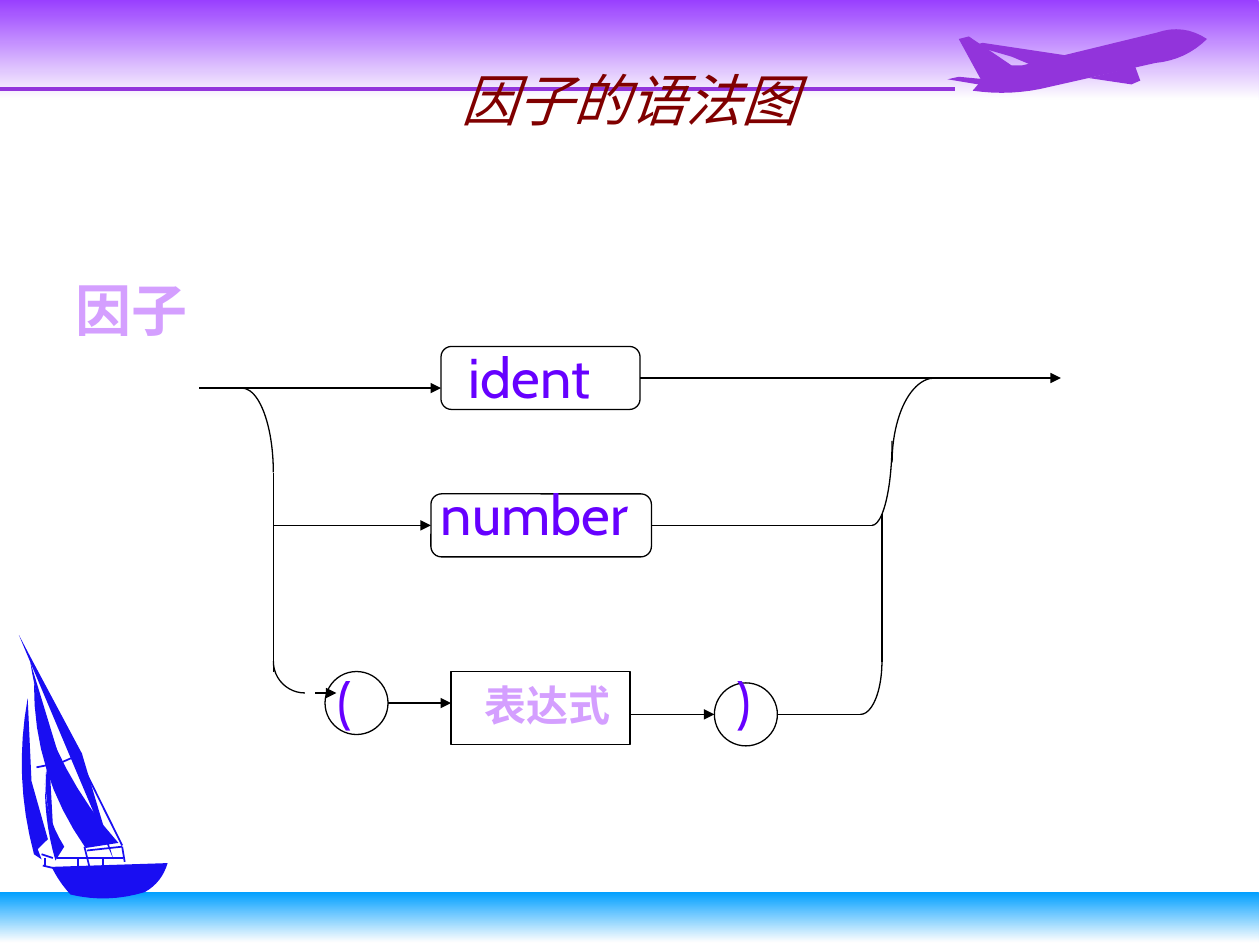
"""Build the slide with the syntax diagram of a factor."""
from math import hypot

from lxml.etree import SubElement
from pptx import Presentation
from pptx.dml.color import RGBColor
from pptx.enum.shapes import MSO_CONNECTOR, MSO_SHAPE as Preset
from pptx.enum.text import MSO_ANCHOR as Anchor, PP_ALIGN as Align
from pptx.oxml.ns import qn
from pptx.util import Inches, Pt

BLACK = RGBColor(0x00, 0x00, 0x00)
NEAR_WHITE = RGBColor(0xFE, 0xFE, 0xFE)
SKY_PURPLE = RGBColor(0x99, 0x3F, 0xFF)
PLANE_PURPLE = RGBColor(0x92, 0x34, 0xDB)
SEA_BLUE = RGBColor(0x00, 0x9F, 0xFF)
BOAT_BLUE = RGBColor(0x19, 0x0E, 0xF2)
MAROON = RGBColor(0x80, 0x00, 0x00)
LILAC = RGBColor(0xD4, 0x9F, 0xFF)
VIOLET = RGBColor(0x66, 0x00, 0xFF)

CJK_FONT = "Noto Sans CJK SC"
LEFT_SIDE, RIGHT_SIDE = 1, 3
CURVE_STEPS = 8
QUADRANT_STARTS = {
    ("right", "below"): 0, ("left", "below"): 90,
    ("left", "above"): 180, ("right", "above"): 270,
}

ENTRY_X, EXIT_X = 1.58, 8.42
SPLIT_X, JOIN_X, MERGE_X = 2.17, 7, 7.08
ENTRY_Y, IDENT_Y, NUMBER_Y = 3.08, 3, 4.17
OPEN_Y, EXPRESSION_Y, CLOSE_Y = 5.5, 5.58, 5.67
NODE_HEIGHT = 0.5


def add_band(slide, box, top_color, bottom_color):
    """Add a horizontal band that fades downwards."""
    band = slide.shapes.add_shape(Preset.RECTANGLE, *map(Inches, box))
    band.shadow.inherit = False
    band.line.fill.background()
    band.fill.gradient()
    band.fill.gradient_angle = 270
    for stop, position, color in zip(band.fill.gradient_stops, (0, 1), (top_color, bottom_color)):
        stop.position = position
        stop.color.rgb = color


def bowed_edge(start, end, bow):
    """Return points along an edge, bowed to the right of its direction of travel."""
    (x, y), (dx, dy) = start, (end[0] - start[0], end[1] - start[1])
    length = hypot(dx, dy)
    steps = CURVE_STEPS if bow else 1
    points = []
    for step in range(1, steps + 1):
        t = step / steps
        offset = 4 * t * (1 - t) * bow / length
        points.append((Inches(x + dx * t - dy * offset), Inches(y + dy * t + dx * offset)))
    return points


def add_part(slide, color, *corners):
    """Add a filled part from (x, y, bow of the next edge); a negative bow swells outwards."""
    outline = slide.shapes.build_freeform(*map(Inches, corners[0][:2]))
    for (x, y, bow), following in zip(corners, corners[1:] + corners[:1]):
        outline.add_line_segments(bowed_edge((x, y), following[:2], bow), close=False)
    part = outline.convert_to_shape()
    part.shadow.inherit = False
    part.fill.solid()
    part.fill.fore_color.rgb = color
    part.line.fill.background()


def add_line(slide, start, end, color=BLACK, width=0.75, arrow=False, source=None, target=None):
    """Add a straight line, with an arrowhead or joined nodes where asked."""
    line = slide.shapes.add_connector(MSO_CONNECTOR.STRAIGHT, *map(Inches, start + end))
    line.line.color.rgb = color
    line.line.width = Pt(width)
    if arrow:
        SubElement(line.line._get_or_add_ln(), qn("a:tailEnd"), type="triangle")
    SubElement(line._element.spPr, qn("a:effectLst"))
    if source is not None:
        line.begin_connect(source, RIGHT_SIDE)
    if target is not None:
        line.end_connect(target, LEFT_SIDE)


def add_node(slide, preset, left, center_y, width=NODE_HEIGHT, height=NODE_HEIGHT):
    """Add an unfilled outline centred on its row."""
    box = (left, center_y - height / 2, width, height)
    node = slide.shapes.add_shape(preset, *map(Inches, box))
    node.shadow.inherit = False
    node.fill.background()
    node.line.color.rgb = BLACK
    node.line.width = Pt(0.75)
    return node


def add_bend(slide, level, upright):
    """Add a quarter ellipse from a level track to an upright one."""
    center_x, center_y = level[0], upright[1]
    radius_x, radius_y = abs(upright[0] - center_x), abs(level[1] - center_y)
    side = "right" if upright[0] > center_x else "left"
    half = "below" if level[1] > center_y else "above"
    start = QUADRANT_STARTS[side, half]
    bend = add_node(slide, Preset.ARC, center_x - radius_x, center_y, 2 * radius_x, 2 * radius_y)
    for index, degrees in enumerate((start, (start + 90) % 360)):
        bend.adjustments[index] = degrees * 0.6


def add_text(slide, text, box, font="Cabin", size=32, color=VIOLET, bold=False, italic=False,
             align=Align.LEFT, anchor=Anchor.TOP):
    """Add a one-line text box."""
    frame = slide.shapes.add_textbox(*map(Inches, box)).text_frame
    frame.word_wrap = True
    frame.vertical_anchor = anchor
    paragraph = frame.paragraphs[0]
    paragraph.alignment = align
    run = paragraph.add_run()
    run.text = text
    run.font.name, run.font.size = font, Pt(size)
    run.font.bold, run.font.italic = bold, italic
    run.font.color.rgb = color
    SubElement(run.font._element, qn("a:ea"), typeface=CJK_FONT)


def add_plane(slide):
    """Draw the plane and its trail."""
    trail = (0, 0.69, 0), (7.58, 0.69, 0), (7.58, 0.72, 0), (0, 0.72, 0)
    fuselage = ((7.61, 0.31, 0), (7.69, 0.29, 0), (8.03, 0.52, 0), (8.11, 0.52, 0),
                (9.18, 0.26, -0.05), (9.58, 0.31, -0.04), (9.17, 0.5, 0),
                (8.33, 0.69, -0.03), (7.72, 0.72, 0), (7.79, 0.64, 0))
    near_wing = (8.64, 0.62, 0), (9.01, 0.53, 0), (9.05, 0.64, 0), (8.98, 0.67, 0)
    far_wing = (7.72, 0.36, 0), (7.8, 0.34, 0), (8.6, 0.46, 0), (8.22, 0.53, 0), (8.03, 0.45, 0)
    tailplane = (7.52, 0.63, 0), (7.61, 0.61, 0), (7.93, 0.64, -0.01), (7.76, 0.67, 0)
    for part in (trail, fuselage, near_wing, far_wing, tailplane):
        add_part(slide, PLANE_PURPLE, *part)


def add_boat(slide):
    """Draw the sailing boat with its sails and ropes."""
    hull = (0.41, 6.88, 0), (1.33, 6.85, -0.03), (1.15, 7.08, -0.04), (0.56, 7.1, -0.01)
    mainsail = (0.27, 5.42, 0.09), (0.94, 6.69, 0), (0.68, 6.73, -0.11)
    topsail = (0.24, 5.25, 0), (0.48, 6.04, -0.03)
    staysail = (0.39, 6, 0), (0.42, 6.56, -0.04)
    jib = (0.36, 6.13, 0.05), (0.51, 6.72, 0), (0.44, 6.83, -0.03)
    outer_sail = ((0.22, 5.54, 0), (0.25, 6.2, 0), (0.38, 6.66, 0), (0.3, 6.74, 0),
                  (0.33, 6.82, 0), (0.27, 6.78, -0.07))
    mast = (0.15, 5.04, 0), (0.25, 5.23, 0), (0.65, 5.98, 0), (0.9, 6.82, 0)
    for part in (hull, mainsail, topsail, staysail, jib, outer_sail, mast):
        add_part(slide, BOAT_BLUE, *part)

    ropes = {
        "backstay": ((0.25, 5.26), (0.97, 6.71)),
        "yard left": ((0.29, 6.09), (0.49, 6.05)),
        "yard right": ((0.49, 6.05), (0.65, 5.98)),
        "boom": ((0.69, 6.75), (0.97, 6.72)),
        "boom end": ((0.97, 6.72), (0.99, 6.84)),
        "rail": ((0.45, 6.81), (0.98, 6.81)),
        "bow rail": ((0.33, 6.78), (0.42, 6.81)),
        "bow deck": ((0.34, 6.87), (0.47, 6.9)),
        "mast foot": ((0.67, 6.72), (0.71, 6.88)),
    }
    for start, end in ropes.values():
        add_line(slide, start, end, BOAT_BLUE, width=1)
    for post_x in (0.36, 0.62, 0.82):
        add_line(slide, (post_x, 6.81), (post_x, 6.87), BOAT_BLUE, width=1)


def add_diagram(slide):
    """Draw the three branches of the factor with their labels."""
    ident = add_node(slide, Preset.ROUNDED_RECTANGLE, 3.5, IDENT_Y, 1.58)
    number = add_node(slide, Preset.ROUNDED_RECTANGLE, 3.42, NUMBER_Y, 1.75)
    add_node(slide, Preset.OVAL, 2.58, EXPRESSION_Y)
    add_node(slide, Preset.RECTANGLE, 3.58, 5.62, 1.42, 0.58)
    add_node(slide, Preset.OVAL, 5.67, CLOSE_Y)

    add_line(slide, (ENTRY_X, ENTRY_Y), (3.5, ENTRY_Y), arrow=True)
    add_line(slide, (5.08, IDENT_Y), (EXIT_X, IDENT_Y), arrow=True, source=ident)
    add_line(slide, (SPLIT_X, NUMBER_Y), (3.42, NUMBER_Y), arrow=True, target=number)
    add_line(slide, (5.17, NUMBER_Y), (6.92, NUMBER_Y), source=number)
    add_line(slide, (2.5, OPEN_Y), (2.67, OPEN_Y), arrow=True)
    add_line(slide, (3.08, EXPRESSION_Y), (3.58, EXPRESSION_Y), arrow=True)
    add_line(slide, (5, CLOSE_Y), (5.67, CLOSE_Y), arrow=True)
    add_line(slide, (6.17, CLOSE_Y), (6.83, CLOSE_Y))
    add_line(slide, (SPLIT_X, 3.75), (SPLIT_X, 5.33))
    add_line(slide, (JOIN_X, 4.08), (JOIN_X, 5.25))

    add_bend(slide, level=(1.92, ENTRY_Y), upright=(SPLIT_X, 3.75))
    add_bend(slide, level=(2.42, OPEN_Y), upright=(SPLIT_X, 5.25))
    add_bend(slide, level=(6.83, CLOSE_Y), upright=(JOIN_X, 5.25))
    add_bend(slide, level=(6.92, NUMBER_Y), upright=(MERGE_X, 3.5))
    add_bend(slide, level=(7.42, IDENT_Y), upright=(MERGE_X, 3.67))

    add_text(slide, "ident", (3.62, 2.67, 1.28, 0.64))
    add_text(slide, "number", (3.4, 3.76, 1.87, 0.64))
    add_text(slide, "(", (2.58, 5.25, 0.42, 0.64))
    add_text(slide, "表达式", (3.75, 5.34, 1.2, 0.99), CJK_FONT, 24, LILAC, bold=True)
    add_text(slide, ")", (5.75, 5.25, 0.5, 0.64))


def main():
    """Build and save the slide."""
    deck = Presentation()
    deck.slide_width, deck.slide_height = Inches(10), Inches(7.5)
    slide = deck.slides.add_slide(deck.slide_layouts[6])
    add_band(slide, (0, 0, 9.99, 0.79), SKY_PURPLE, NEAR_WHITE)
    add_plane(slide)
    add_band(slide, (0, 7.08, 9.99, 0.4), SEA_BLUE, NEAR_WHITE)
    add_boat(slide)
    add_text(slide, "因子的语法图", (0.75, 0.33, 8.5, 0.92), "Times New Roman", color=MAROON,
             italic=True, align=Align.CENTER, anchor=Anchor.MIDDLE)
    add_text(slide, "因子", (0.5, 2.14, 8.5, 0.74), CJK_FONT, color=LILAC, bold=True)
    add_diagram(slide)
    deck.save("out.pptx")


if __name__ == "__main__":
    main()
